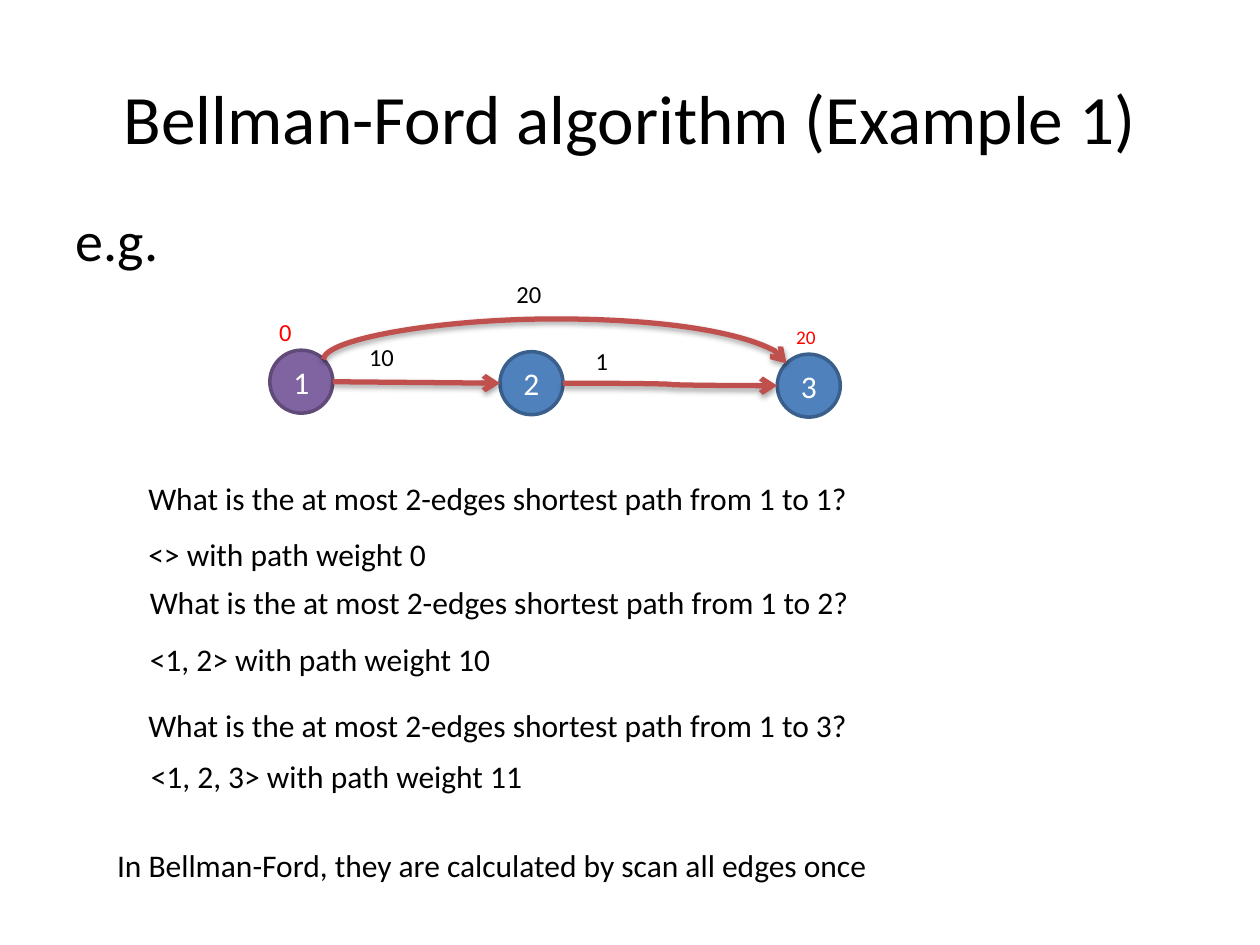
from dataclasses import dataclass
from math import sqrt

from lxml import etree
from pptx import Presentation
from pptx.dml.color import RGBColor
from pptx.enum.shapes import MSO_CONNECTOR, MSO_SHAPE
from pptx.enum.text import MSO_ANCHOR, MSO_AUTO_SIZE, PP_ALIGN
from pptx.oxml.ns import qn
from pptx.util import Cm, Pt

STRAIGHT, CURVE = MSO_CONNECTOR.STRAIGHT, MSO_CONNECTOR.CURVE
OVAL = MSO_SHAPE.OVAL
MIDDLE = MSO_ANCHOR.MIDDLE
FIT_SHAPE = MSO_AUTO_SIZE.SHAPE_TO_FIT_TEXT
LEFT, CENTER = PP_ALIGN.LEFT, PP_ALIGN.CENTER


@dataclass(frozen=True)
class Theme:
    font: str = "Calibri"
    ink: str = "000000"
    white: str = "FFFFFF"
    distance: str = "FF0000"
    edge: str = "C0504D"
    source: tuple = ("8064A2", "5F4A78")
    node: tuple = ("4F81BD", "3A5F8C")
    title_size: float = 39.6
    lead_size: float = 32
    body_size: float = 18
    label_size: float = 14
    small_size: float = 11


THEME = Theme()
DIAMETER = 1.27
ARC_TOP = 6.43

# Number, left, top, (fill, line)
NODES = [
    ("1", 5.44, 7.06, THEME.source),
    ("2", 10.08, 7.09, THEME.node),
    ("3", 15.67, 7.14, THEME.node),
]

# Text, left, top, width, size, colour
LABELS = [
    ("20", 10.16, 5.51, 1.19, THEME.label_size, THEME.ink),
    ("10", 7.19, 6.78, 1.19, THEME.label_size, THEME.ink),
    ("1", 11.76, 6.86, 1.19, THEME.label_size, THEME.ink),
    ("0", 5.38, 6.27, 0.99, THEME.label_size, THEME.distance),
    ("20", 15.8, 6.43, 0.99, THEME.small_size, THEME.distance),
]

# Text, left, top, width
STATEMENTS = [
    ("What is the at most 2-edges shortest path from 1 to 1?", 2.74, 9.53, 17.78),
    ("<> with path weight 0", 2.74, 10.67, 13.77),
    ("What is the at most 2-edges shortest path from 1 to 2?", 2.77, 11.63, 19.86),
    ("<1, 2> with path weight 10", 2.77, 12.78, 13.77),
    ("What is the at most 2-edges shortest path from 1 to 3?", 2.74, 14.1, 19.48),
    ("<1, 2, 3> with path weight 11", 2.79, 15.14, 13.77),
    ("In Bellman-Ford, they are calculated by scan all edges once", 2.11, 16.94, 17.58),
]


def write(frame, text, size, color, align=LEFT):
    para = frame.paragraphs[0]
    para.text = text
    para.alignment = align
    para.font.name = THEME.font
    para.font.size = Pt(size)
    para.font.color.rgb = RGBColor.from_string(color)


def add_text(slide, text, left, top, width, size, color=THEME.ink,
             height=None, align=LEFT):
    """A box of fixed height, or one that grows with its text."""
    box = slide.shapes.add_textbox(
        Cm(left), Cm(top), Cm(width), Cm(height or size * 0.043 + 0.25))
    frame = box.text_frame
    frame.word_wrap = True
    if height is None:
        frame.auto_size = FIT_SHAPE
    write(frame, text, size, color, align)
    return box


def add_node(slide, number, left, top, colors):
    fill, line = colors
    circle = slide.shapes.add_shape(
        OVAL, Cm(left), Cm(top), Cm(DIAMETER), Cm(DIAMETER))
    circle.shadow.inherit = False
    circle.fill.solid()
    circle.fill.fore_color.rgb = RGBColor.from_string(fill)
    circle.line.color.rgb = RGBColor.from_string(line)
    circle.line.width = Pt(2)
    circle.text_frame.vertical_anchor = MIDDLE
    write(circle.text_frame, number, THEME.body_size, THEME.white, CENTER)


def add_edge(slide, kind, start, end):
    edge = slide.shapes.add_connector(kind, *(Cm(v) for v in (*start, *end)))
    edge.line.color.rgb = RGBColor.from_string(THEME.edge)
    edge.line.width = Pt(3)
    properties = edge.line._get_or_add_ln()
    etree.SubElement(properties, qn("a:tailEnd"), type="arrow")
    # Soft shadow straight below the line
    effects = etree.SubElement(edge._element.spPr, qn("a:effectLst"))
    shadow = etree.SubElement(
        effects, qn("a:outerShdw"), blurRad="40000", dist="23000",
        dir="5400000", rotWithShape="0")
    color = etree.SubElement(shadow, qn("a:srgbClr"), val="000000")
    etree.SubElement(color, qn("a:alpha"), val="35000")
    return edge


def add_arc(slide, start, end, peak):
    """A curve that rises to peak: a flipped connector on a quarter turn."""
    (x1, y1), (x2, y2) = start, end
    span, drop = x2 - x1, y2 - y1
    left, top = (x1 + x2 - drop) / 2, (y1 + y2 - span) / 2
    arc = add_edge(slide, CURVE, (left, top), (left + drop, top + span))
    properties = arc._element.spPr
    transform = properties.find(qn("a:xfrm"))
    transform.set("rot", "16200000")
    transform.set("flipH", "1")
    guides = properties.find(qn("a:prstGeom")).get_or_add_avLst()
    bend = round((peak - y1) / drop * 100000)
    etree.SubElement(guides, qn("a:gd"), name="adj1", fmla=f"val {bend}")


def add_graph(slide):
    for node in NODES:
        add_node(slide, *node)
    radius = DIAMETER / 2
    centers = [(left + radius, top + radius) for _, left, top, _ in NODES]

    # Edges between neighbours
    for kind, (x1, y1), (x2, y2) in zip((STRAIGHT, CURVE), centers, centers[1:]):
        add_edge(slide, kind, (x1 + radius, y1), (x2 - radius, y2))

    # Edge from the first node to the last, over the middle one
    (x1, y1), (x2, y2) = centers[0], centers[-1]
    corner = radius / sqrt(2)
    add_arc(slide, (x1 + corner, y1 - corner), (x2 - corner, y2 - corner), ARC_TOP)

    # Weights and distances
    for label in LABELS:
        add_text(slide, *label)


def main():
    deck = Presentation()
    deck.slide_width, deck.slide_height = Cm(25.4), Cm(19.05)
    slide = deck.slides.add_slide(deck.slide_layouts[6])

    # Heading
    title = add_text(slide, "Bellman-Ford algorithm (Example 1)", 1.27, 0.76, 22.86,
                     THEME.title_size, height=3.18, align=CENTER)
    title.text_frame.vertical_anchor = MIDDLE
    add_text(slide, "e.g.", 1.27, 4.01, 4.11, THEME.lead_size, height=1.9)

    add_graph(slide)

    # Questions and answers
    for statement in STATEMENTS:
        add_text(slide, *statement, THEME.body_size)

    deck.save("out.pptx")


if __name__ == "__main__":
    main()
